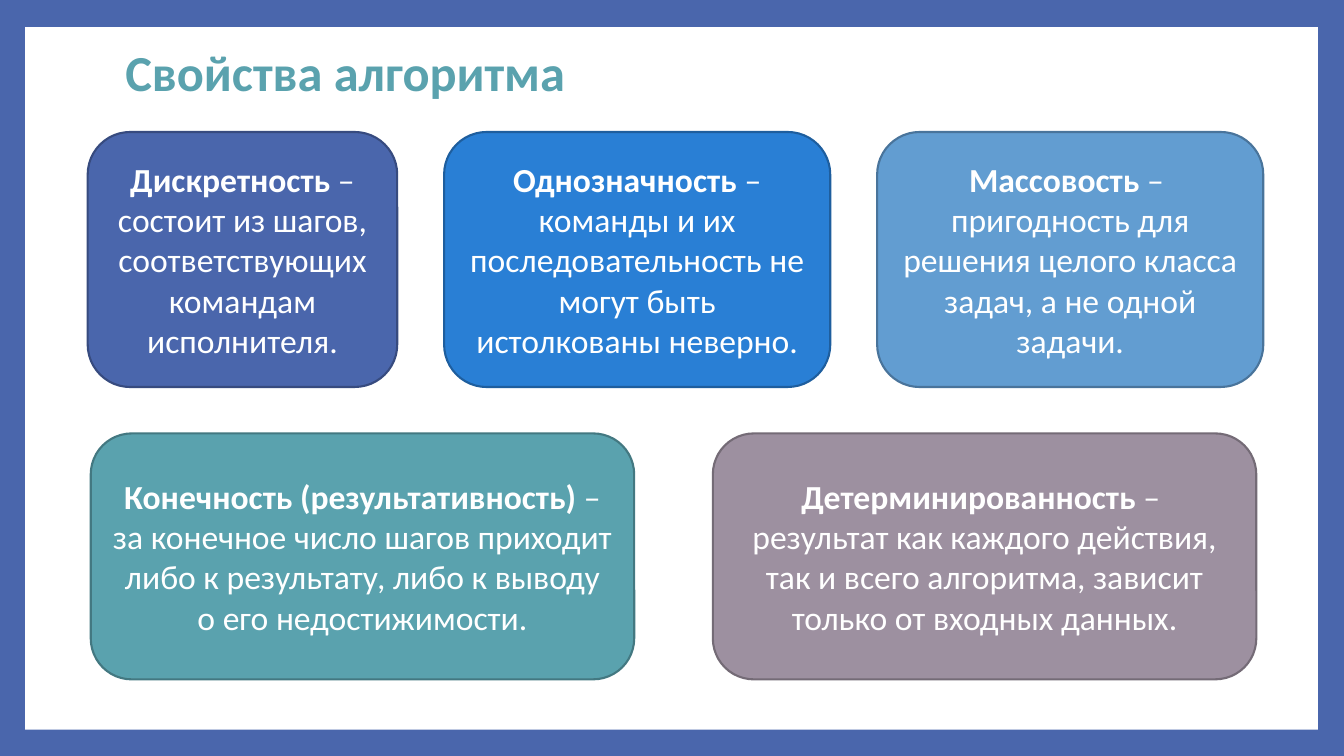
from pptx import Presentation
from pptx import util as u
from pptx.dml.color import RGBColor
from pptx.enum import shapes, text

SLIDE_W, SLIDE_H = 13.33, 7.5
FONT = "Calibri"
FRAME, WHITE, TEAL = "4A66AC", "FFFFFF", "5AA2AE"

# Each row: left, top, height, gap, then its properties as
# (width, fill, outline, term, lines of the definition)
PROPERTY_ROWS = [
    (0.87, 1.31, 2.53, 0.465, [
        (3.07, FRAME, "374B7F", "Дискретность",
         [" – состоит из шагов, соответствующих командам исполнителя."]),
        (3.83, "297FD5", "1E5E9E", "Однозначность",
         [" – команды и их последовательность не могут быть истолкованы неверно."]),
        (3.83, "629DD1", "49749B", "Массовость",
         [" – ", "пригодность для решения целого класса задач, а не одной задачи."]),
    ]),
    (0.9, 4.3, 2.44, 0.78, [
        (5.39, TEAL, "437881", "Конечность (результативность)",
         [" – за конечное число шагов приходит либо к результату, "
          "либо к выводу о его недостижимости."]),
        (5.39, "9D90A0", "746B76", "Детерминированность ",
         ["– ", "результат как каждого действия, так и всего алгоритма, "
          "зависит только от входных данных."]),
    ]),
]


def paint(color_format, color):
    color_format.rgb = RGBColor.from_string(color)


def fill_with(fill, color):
    fill.solid()
    paint(fill.fore_color, color)


def add_run(paragraph, words, size, color, bold=False):
    run = paragraph.add_run()
    run.text = words
    run.font.name = FONT
    run.font.size = u.Pt(size)
    run.font.bold = bold
    paint(run.font.color, color)


def add_panel(slide, preset, left, top, width, height, color):
    panel = slide.shapes.add_shape(
        preset, *(u.Inches(n) for n in (left, top, width, height)))
    panel.shadow.inherit = False
    fill_with(panel.fill, color)
    panel.line.fill.background()
    return panel


def set_title(slide, words):
    title = slide.shapes.title
    title.left, title.top = 0, u.Inches(0.36)
    title.width, title.height = u.Inches(6.85), u.Inches(0.71)
    title.text_frame.vertical_anchor = text.MSO_ANCHOR.TOP
    heading = title.text_frame.paragraphs[0]
    heading.alignment = text.PP_ALIGN.CENTER
    add_run(heading, words, 36, TEAL, bold=True)


def add_property(slide, left, top, width, height, fill, outline, term, lines):
    card = add_panel(slide, shapes.MSO_SHAPE.ROUNDED_RECTANGLE,
                     left, top, width, height, fill)
    paint(card.line.color, outline)
    card.line.width = u.Pt(1.5)
    card.text_frame.word_wrap = True
    card.text_frame.vertical_anchor = text.MSO_ANCHOR.MIDDLE
    definition = card.text_frame.paragraphs[0]
    definition.alignment = text.PP_ALIGN.CENTER
    add_run(definition, term, 24, WHITE, bold=True)
    for number, line in enumerate(lines):
        if number:
            definition.add_line_break()
        add_run(definition, line, 24, WHITE)


def main():
    deck = Presentation()
    deck.slide_width, deck.slide_height = u.Inches(SLIDE_W), u.Inches(SLIDE_H)
    slide = deck.slides.add_slide(deck.slide_layouts[5])

    # Coloured frame around a white sheet
    fill_with(slide.background.fill, FRAME)
    sheet = add_panel(slide, shapes.MSO_SHAPE.RECTANGLE,
                      0.25, 0.27, 12.82, 6.97, WHITE)
    slide.shapes.title.element.addprevious(sheet.element)

    set_title(slide, "Свойства алгоритма")

    # Cards with the properties, laid out row by row
    for left, top, height, gap, properties in PROPERTY_ROWS:
        for width, *content in properties:
            add_property(slide, left, top, width, height, *content)
            left += width + gap

    deck.save("out.pptx")


if __name__ == "__main__":
    main()
